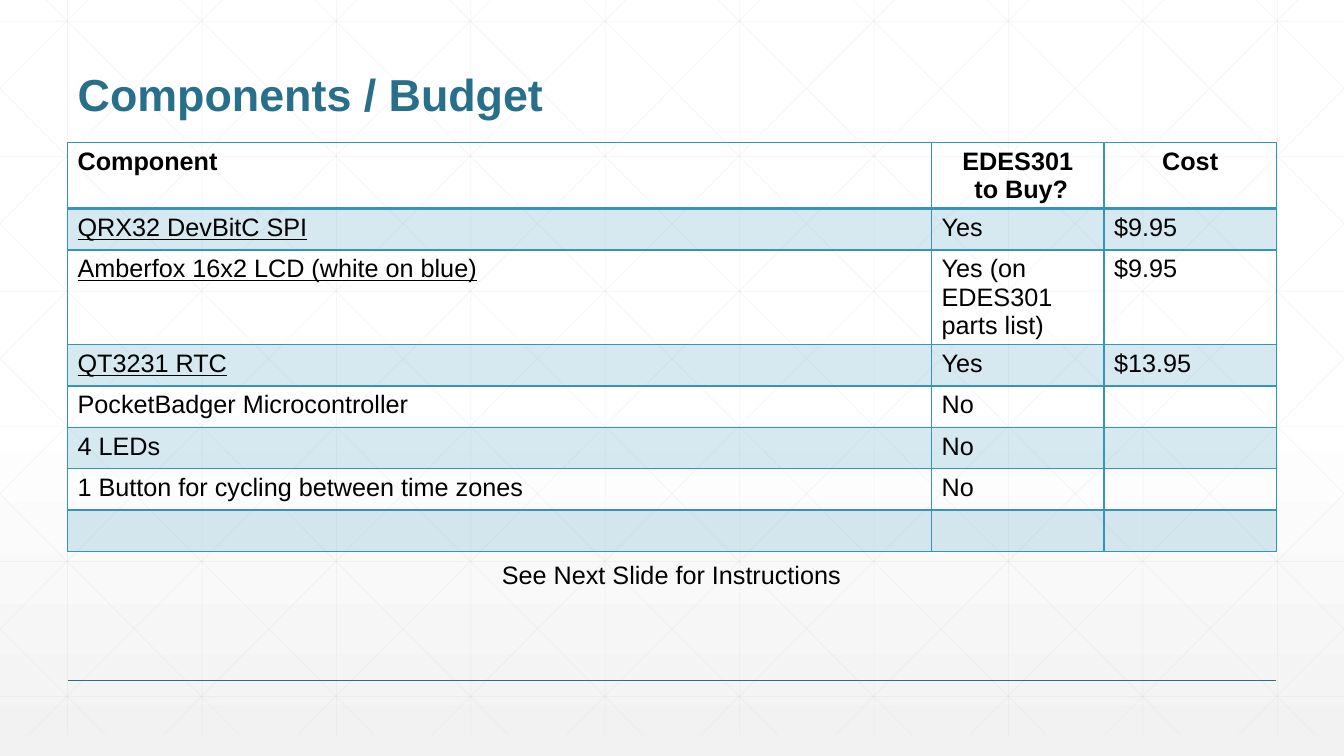
from lxml.etree import SubElement
from pptx import Presentation
from pptx.dml.color import RGBColor
from pptx.enum.shapes import MSO_CONNECTOR
from pptx.enum.text import MSO_ANCHOR, PP_ALIGN
from pptx.oxml.ns import qn
from pptx.util import Inches, Pt

HEAD = "Components / Budget"
NOTE = "See Next Slide for Instructions"
ROWS = [
    ("Component", "EDES301\n to Buy?", "Cost"),
    ("QRX32 DevBitC SPI", "Yes", "$9.95"),
    ("Amberfox 16x2 LCD (white on blue)", "Yes (on EDES301 parts list)", "$9.95"),
    ("QT3231 RTC", "Yes", "$13.95"),
    ("PocketBadger Microcontroller", "No", ""),
    ("4 LEDs", "No", ""),
    ("1 Button for cycling between time zones", "No", ""),
    ("", "", ""),
]
LINKS = (1, 2, 3)
COLS = (8.57, 1.71, 1.71)
WIDE, HIGH = 13.33, 7.5
EDGE, ROW_H = 0.67, 0.41
TOP, END = -0.21, 7.29
STEP, RUN = 4 / 3, 7.46
FONT = "Arial"
TEAL = RGBColor(0x27, 0x6F, 0x8B)
BLUE = RGBColor(0x34, 0x94, 0xBA)
GRAY = RGBColor(0xD9, 0xD9, 0xD9)
PALE = RGBColor(0xF2, 0xF2, 0xF2)
WHITE = RGBColor(0xFF, 0xFF, 0xFF)
BLACK = RGBColor(0, 0, 0)


def style(para, size, color, bold=False):
    font = para.font
    font.name, font.size, font.bold = FONT, Pt(size), bold
    font.color.rgb = color


def fade(fill, rate):
    SubElement(fill.find(qn("a:srgbClr")), qn("a:alpha"), val=str(rate * 1000))


def rule(slide, start, stop, color, width):
    ends = [Inches(v) for v in (*start, *stop)]
    line = slide.shapes.add_connector(MSO_CONNECTOR.STRAIGHT, *ends)
    line.line.color.rgb = color
    line.line.width = Pt(width)
    SubElement(line.element.spPr, qn("a:effectLst"))
    return line


def grid(slide):
    pairs = []
    for i in range(10):
        x = EDGE + i * STEP
        pairs.append(((x, TOP), (x, END)))
    for i in range(6):
        y = 0.21 + i * 1.34
        pairs.append(((0, y), (WIDE, y)))
    slope = (END - TOP) / RUN
    for i in range(-5, 10):
        x = 0.25 + i * STEP
        left, right = max(x, 0), min(x + RUN, WIDE)
        high, low = (TOP + (v - x) * slope for v in (left, right))
        pairs.append(((left, high), (right, low)))
        pairs.append(((WIDE - left, high), (WIDE - right, low)))
    for start, stop in pairs:
        line = rule(slide, start, stop, GRAY, 0.5)
        fade(line.element.spPr.find(qn("a:ln")).find(qn("a:solidFill")), 25)


def frame(cell, row):
    props = cell._tc.get_or_add_tcPr()
    thick = {(0, "B"), (1, "T")}
    for side in "LRTB":
        width = Pt(2 if (row, side) in thick else 1)
        line = SubElement(props, qn("a:ln" + side), w=str(width))
        fill = SubElement(line, qn("a:solidFill"))
        SubElement(fill, qn("a:srgbClr"), val=str(BLUE))
    if row % 2:
        cell.fill.solid()
        cell.fill.fore_color.rgb = BLUE
        fade(props.find(qn("a:solidFill")), 20)
    else:
        cell.fill.background()


def budget(slide):
    size = (EDGE, 1.41, sum(COLS), ROW_H * len(ROWS))
    box = [Inches(v) for v in size]
    table = slide.shapes.add_table(len(ROWS), len(COLS), *box).table
    table.first_row = table.horz_banding = False
    for col, width in zip(table.columns, COLS):
        col.width = Inches(width)
    for r, row in enumerate(ROWS):
        table.rows[r].height = Inches(ROW_H)
        for c, text in enumerate(row):
            cell = table.cell(r, c)
            cell.text = text
            frame(cell, r)
            for para in cell.text_frame.paragraphs:
                style(para, 18, BLACK, r == 0)
                if r == 0 and c > 0:
                    para.alignment = PP_ALIGN.CENTER
                if r in LINKS and c == 0:
                    para.font.underline = True


def main():
    deck = Presentation()
    deck.slide_width, deck.slide_height = Inches(WIDE), Inches(HIGH)
    slide = deck.slides.add_slide(deck.slide_layouts[5])

    back = slide.background.fill
    back.gradient()
    back.gradient_angle = 270
    for stop, place, color in zip(back.gradient_stops, (0.53, 1), (WHITE, PALE)):
        stop.position = place
        stop.color.rgb = color

    grid(slide)
    rule(slide, (EDGE, 6.75), (WIDE - EDGE, 6.75), TEAL, 1)

    title = slide.shapes.title
    title.element.getparent().append(title.element)
    title.left, title.top = Inches(EDGE), Inches(0.25)
    title.width, title.height = Inches(12), Inches(1)
    title.text = HEAD
    title.text_frame.vertical_anchor = MSO_ANCHOR.BOTTOM
    para = title.text_frame.paragraphs[0]
    para.alignment = PP_ALIGN.LEFT
    para.line_spacing = 0.9
    style(para, 32, TEAL, True)

    budget(slide)

    box = [Inches(v) for v in (4.88, 5.5, 3.6, 0.4)]
    note = slide.shapes.add_textbox(*box).text_frame
    note.word_wrap = False
    note.text = NOTE
    style(note.paragraphs[0], 18, BLACK)
    deck.save("out.pptx")


if __name__ == "__main__":
    main()
